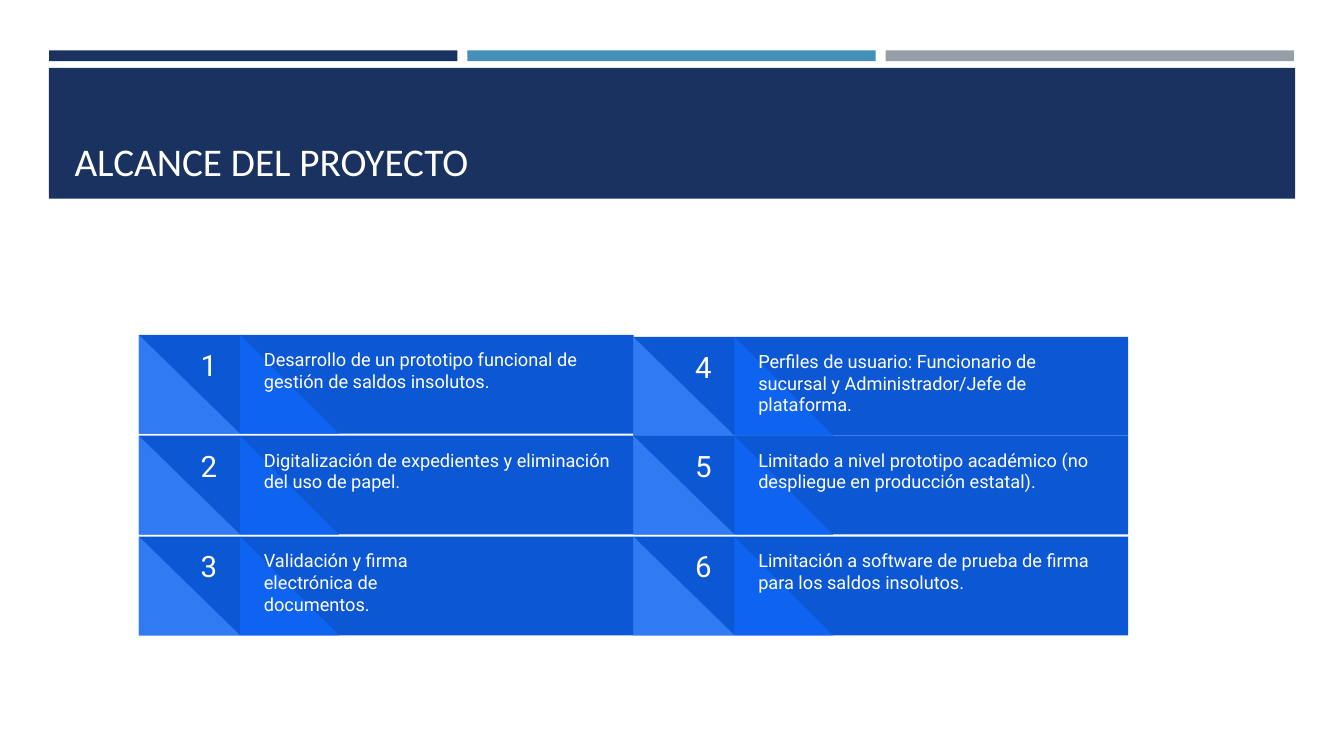
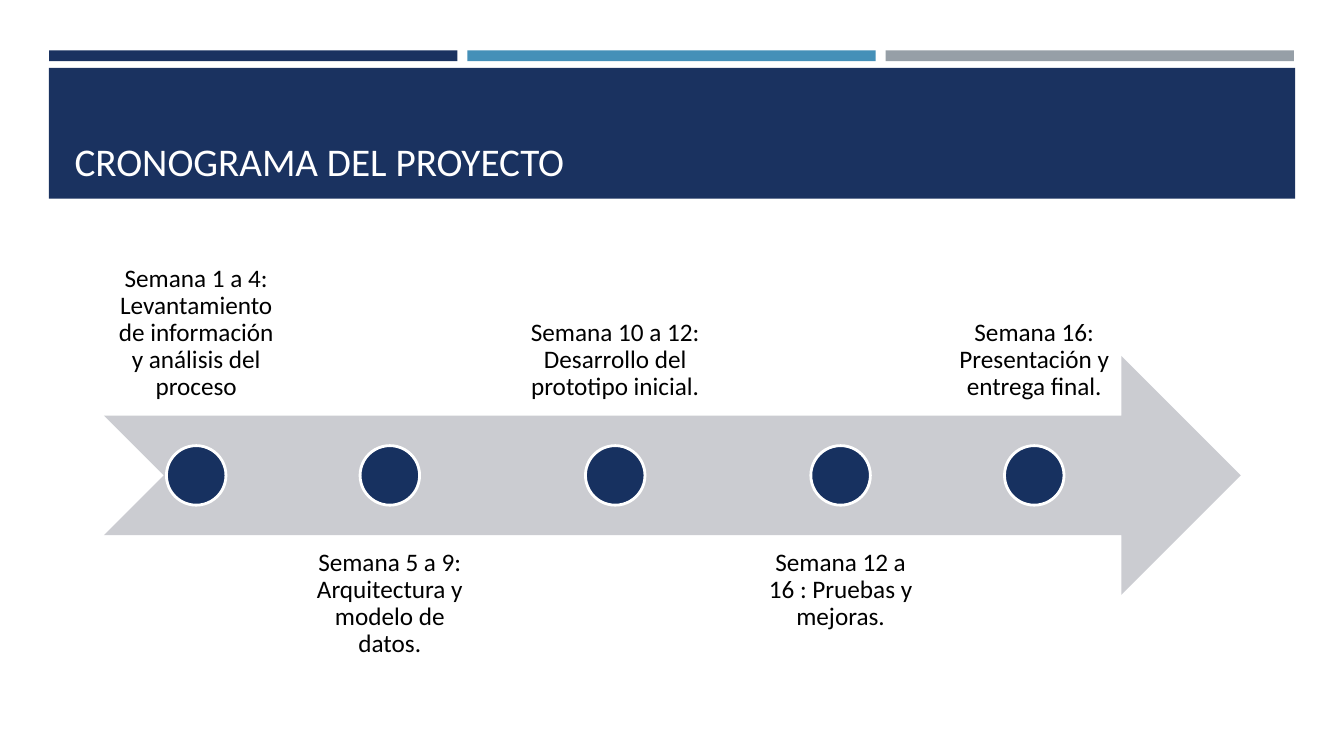
from dataclasses import dataclass
from typing import Any

from pptx import Presentation
from pptx import util as u
from pptx.dml.color import RGBColor
from pptx.enum import shapes, text

SHAPE = shapes.MSO_SHAPE
ANCHOR = text.MSO_ANCHOR
ALIGN = text.PP_ALIGN


@dataclass(frozen=True)
class Theme:
    navy: str = "1A3260"
    sky: str = "4590B8"
    gray: str = "969FA7"
    white: str = "FFFFFF"
    black: str = "000000"
    card: str = "0C57D3"
    card_mid: str = "0E63F0"
    card_light: str = "307AF3"
    arrow: str = "CBCCD1"
    dot: str = "173160"
    font: str = "Calibri"
    card_font: str = "Roboto"
    title_size: float = 28
    number_size: float = 21
    card_size: float = 13
    label_size: float = 18


T = Theme()


@dataclass(frozen=True)
class Box:
    """Position and size in centimetres."""
    x: float
    y: float
    w: float
    h: float

    def emu(self) -> tuple[u.Length, ...]:
        return u.Cm(self.x), u.Cm(self.y), u.Cm(self.w), u.Cm(self.h)


@dataclass(frozen=True)
class Style:
    font: str
    size: float
    color: str
    anchor: Any = ANCHOR.TOP
    align: Any = ALIGN.LEFT
    inset: tuple[float, float] = (0.33, 0.33)
    spacing: float = 1.0


@dataclass(frozen=True)
class Card:
    number: int
    body: str
    text_w: float = 9.4
    drop: float = 0


@dataclass(frozen=True)
class Milestone:
    label: str
    w: float = 4.65


TITLE = Style(T.font, T.title_size, T.white, ANCHOR.BOTTOM, inset=(0.25, 0.13))
NUMBER = Style(T.card_font, T.number_size, T.white, ANCHOR.BOTTOM, ALIGN.CENTER)
BODY = Style(T.card_font, T.card_size, T.white)

CARDS = [
    Card(1, "Desarrollo de un prototipo funcional de gestión de saldos insolutos."),
    Card(2, "Digitalización de expedientes y eliminación del uso de papel.", 9.63),
    Card(3, "Validación y firma electrónica de documentos.", 5.5),
    Card(4, "Perfiles de usuario: Funcionario de sucursal y "
            "Administrador/Jefe de plataforma.", drop=0.05),
    Card(5, "Limitado a nivel prototipo académico (no despliegue en "
            "producción estatal).", 9.63),
    Card(6, "Limitación a software de prueba de firma para los saldos insolutos."),
]

MILESTONES = [
    Milestone("Semana 1 a 4: Levantamiento de información y análisis del proceso"),
    Milestone("Semana 5 a 9: Arquitectura y modelo de datos."),
    Milestone("Semana 10 a 12: Desarrollo del prototipo inicial.", 6.25),
    Milestone("Semana 12 a 16 : Pruebas y mejoras."),
    Milestone("Semana 16: Presentación y entrega final."),
]


# Drawing helpers
def add_shape(parent: Any, kind: Any, box: Box, fill: str, line: str = "") -> None:
    sp = parent.add_shape(kind, *box.emu())
    sp.shadow.inherit = False
    sp.fill.solid()
    sp.fill.fore_color.rgb = RGBColor.from_string(fill)
    if line:
        sp.line.color.rgb = RGBColor.from_string(line)
        sp.line.width = u.Pt(2)
    else:
        sp.line.fill.background()


def write(sp: Any, content: str, style: Style) -> None:
    tf = sp.text_frame
    tf.text = content
    tf.word_wrap = True
    tf.auto_size = text.MSO_AUTO_SIZE.NONE
    tf.vertical_anchor = style.anchor
    tf.margin_left = tf.margin_right = u.Cm(style.inset[0])
    tf.margin_top = tf.margin_bottom = u.Cm(style.inset[1])
    p = tf.paragraphs[0]
    p.alignment = style.align
    p.line_spacing = style.spacing
    r = p.runs[0]
    r.font.name = style.font
    r.font.size = u.Pt(style.size)
    r.font.color.rgb = RGBColor.from_string(style.color)


def add_text(parent: Any, box: Box, content: str, style: Style) -> None:
    write(parent.add_textbox(*box.emu()), content, style)


# Shared frame: three strips, title band and title
def add_slide(prs: Any, title: str) -> Any:
    s = prs.slides.add_slide(prs.slide_layouts[5])
    for i, color in enumerate((T.navy, T.sky, T.gray)):
        add_shape(s.shapes, SHAPE.RECTANGLE, Box(1.24 + i * 10.54, 1.27, 10.29, 0.27), color)
    add_shape(s.shapes, SHAPE.RECTANGLE, Box(1.23, 1.71, 31.41, 3.3), T.navy)
    sp = s.shapes.title
    sp.left, sp.top, sp.width, sp.height = Box(1.63, 1.96, 30.63, 2.82).emu()
    write(sp, title, TITLE)
    # Bring the title in front of its band
    sp.element.getparent().append(sp.element)
    return s


# Scope: numbered cards in two columns
def draw_card(s: Any, card: Card, x: float, y: float) -> None:
    h, number_w = 2.49, 2.55
    parent = s.shapes.add_group_shape().shapes
    add_shape(parent, SHAPE.RECTANGLE, Box(x, y, 12.47, h), T.card)
    add_shape(parent, SHAPE.RIGHT_TRIANGLE, Box(x + number_w, y, h, h), T.card_mid)
    add_shape(parent, SHAPE.RIGHT_TRIANGLE, Box(x, y, number_w, h), T.card_light)
    add_text(parent, Box(x + 0.98, y, 1.57, 1.52), str(card.number), NUMBER)
    add_text(parent, Box(x + 2.82, y, card.text_w, h), card.body, BODY)


def draw_scope(prs: Any) -> None:
    s = add_slide(prs, "ALCANCE DEL PROYECTO")
    for i, card in enumerate(CARDS):
        column, row = divmod(i, 3)
        draw_card(s, card, 3.5 + column * 12.46, 8.44 + row * 2.54 + card.drop)


# Schedule: milestones alternate above and below an arrow
def draw_schedule(prs: Any) -> None:
    s = add_slide(prs, "CRONOGRAMA DEL PROYECTO")
    parent = s.shapes.add_group_shape().shapes
    arrow = Box(2.62, 8.97, 28.65, 6.02)
    add_shape(parent, SHAPE.NOTCHED_RIGHT_ARROW, arrow, T.arrow)
    x, gap, dot = arrow.x, 0.23, 1.5
    dot_y = arrow.y + (arrow.h - dot) / 2
    for i, milestone in enumerate(MILESTONES):
        above = i % 2 == 0
        y = arrow.y + arrow.h * (-0.75 if above else 0.75)
        style = Style(T.font, T.label_size, T.black,
                      ANCHOR.BOTTOM if above else ANCHOR.TOP,
                      ALIGN.CENTER, (0.36, 0.36), 0.9)
        add_text(parent, Box(x, y, milestone.w, arrow.h), milestone.label, style)
        dot_x = x + (milestone.w - dot) / 2
        add_shape(parent, SHAPE.OVAL, Box(dot_x, dot_y, dot, dot), T.dot, T.white)
        x += milestone.w + gap


def main() -> None:
    prs = Presentation()
    prs.slide_width, prs.slide_height = u.Cm(33.87), u.Cm(19.05)
    draw_scope(prs)
    draw_schedule(prs)
    prs.save("out.pptx")


if __name__ == "__main__":
    main()
